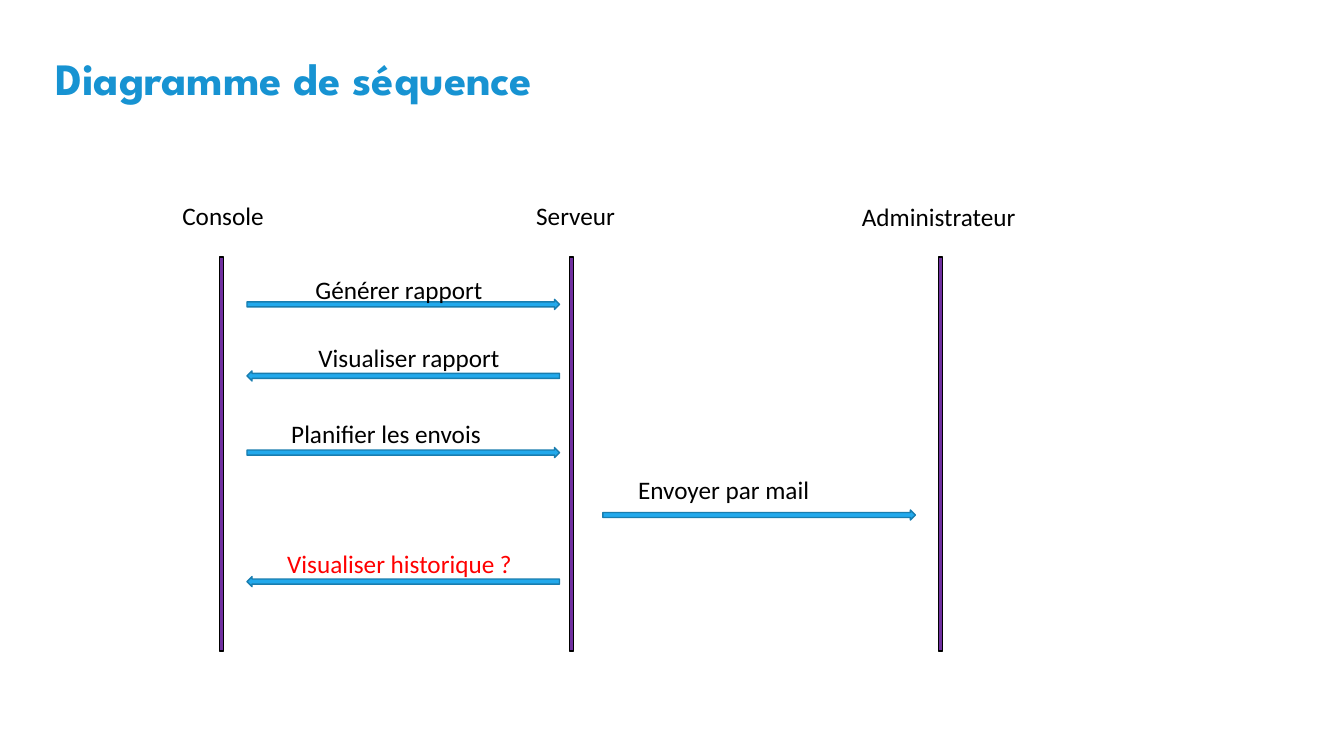
import pptx
import pptx.dml.color
import pptx.enum.shapes
import pptx.enum.text
import pptx.util

RGBColor = pptx.dml.color.RGBColor
MSO_SHAPE = pptx.enum.shapes.MSO_SHAPE
MSO_ANCHOR = pptx.enum.text.MSO_ANCHOR
PP_ALIGN = pptx.enum.text.PP_ALIGN

PX = 9144  # 100 px to the inch
TITLE_BLUE = RGBColor(0x17, 0x93, 0xD2)
ARROW_BLUE = RGBColor(0x22, 0xA9, 0xEC)
ARROW_EDGE = RGBColor(0x19, 0x7D, 0xAF)
PURPLE = RGBColor(0x70, 0x30, 0xA0)
BLACK = RGBColor(0, 0, 0)
RED = RGBColor(0xFF, 0, 0)

LABEL_HEIGHT = 40
LIFELINE_TOP, LIFELINE_WIDTH, LIFELINE_HEIGHT = 61, 4, 391
ARROW_WIDTH, ARROW_HEIGHT = 310, 10
RIGHT, LEFT = MSO_SHAPE.RIGHT_ARROW, MSO_SHAPE.LEFT_ARROW

# Positions below are relative to the diagram's top left corner
# name, lifeline x, label x, label y, label width
PARTICIPANTS = [
    ("Console", 47, 0, 0, 105),
    ("Serveur", 394, 351, 0, 133),
    ("Administrateur", 760, 674, 1, 182),
]
# text, arrow shape, arrow x, arrow y, label x, label y, label width, colour
MESSAGES = [
    ("Générer rapport", RIGHT, 74, 103, 132, 73, 187, BLACK),
    ("Visualiser rapport", LEFT, 74, 174, 135, 141, 216, BLACK),
    ("Planifier les envois", RIGHT, 74, 250, 108, 216, 252, BLACK),
    ("Envoyer par mail", RIGHT, 427, 312, 452, 272, 274, BLACK),
    ("Visualiser historique ?", LEFT, 74, 378, 104, 345, 247, RED),
]


def emu(*lengths):
    return [pptx.util.Emu(length * PX) for length in lengths]


def format_text(text_frame, font_name, size, colour, bold=False):
    text_frame.word_wrap = True
    paragraph = text_frame.paragraphs[0]
    paragraph.alignment = PP_ALIGN.LEFT
    font = paragraph.runs[0].font
    font.name = font_name
    font.size = pptx.util.Pt(size)
    font.bold = bold
    font.color.rgb = colour


def add_title(slide, left, top, width, height):
    title = slide.shapes.title
    title.left, title.top, title.width, title.height = emu(left, top, width, height)
    title.text_frame.text = "Diagramme de séquence"
    title.text_frame.vertical_anchor = MSO_ANCHOR.MIDDLE
    title.text_frame.paragraphs[0].line_spacing = 0.9
    format_text(title.text_frame, "League Spartan", 32, TITLE_BLUE, bold=True)


def add_label(slide, text, left, top, width, colour=BLACK):
    label = slide.shapes.add_textbox(*emu(left, top, width, LABEL_HEIGHT))
    label.text_frame.text = text
    format_text(label.text_frame, "Calibri", 18, colour)


def add_filled_shape(slide, kind, box, fill, edge):
    shape = slide.shapes.add_shape(kind, *emu(*box))
    shape.shadow.inherit = False
    shape.fill.solid()
    shape.fill.fore_color.rgb = fill
    shape.line.color.rgb = edge
    shape.line.width = pptx.util.Pt(1)


def add_sequence_diagram(slide, left, top):
    # Participants with their lifelines
    for name, line_x, label_x, label_y, label_width in PARTICIPANTS:
        box = (left + line_x, top + LIFELINE_TOP, LIFELINE_WIDTH, LIFELINE_HEIGHT)
        add_filled_shape(slide, MSO_SHAPE.RECTANGLE, box, PURPLE, BLACK)
        add_label(slide, name, left + label_x, top + label_y, label_width)

    # Messages exchanged between participants
    for text, kind, x, y, label_x, label_y, label_width, colour in MESSAGES:
        box = (left + x, top + y, ARROW_WIDTH, ARROW_HEIGHT)
        add_filled_shape(slide, kind, box, ARROW_BLUE, ARROW_EDGE)
        add_label(slide, text, left + label_x, top + label_y, label_width, colour)


def main():
    presentation = pptx.Presentation()
    presentation.slide_width, presentation.slide_height = emu(1333, 750)
    slide = presentation.slides.add_slide(presentation.slide_layouts.get_by_name("Title Only"))
    add_title(slide, 45, 48, 737, 65)
    add_sequence_diagram(slide, 171, 194)
    presentation.save("out.pptx")


if __name__ == "__main__":
    main()
